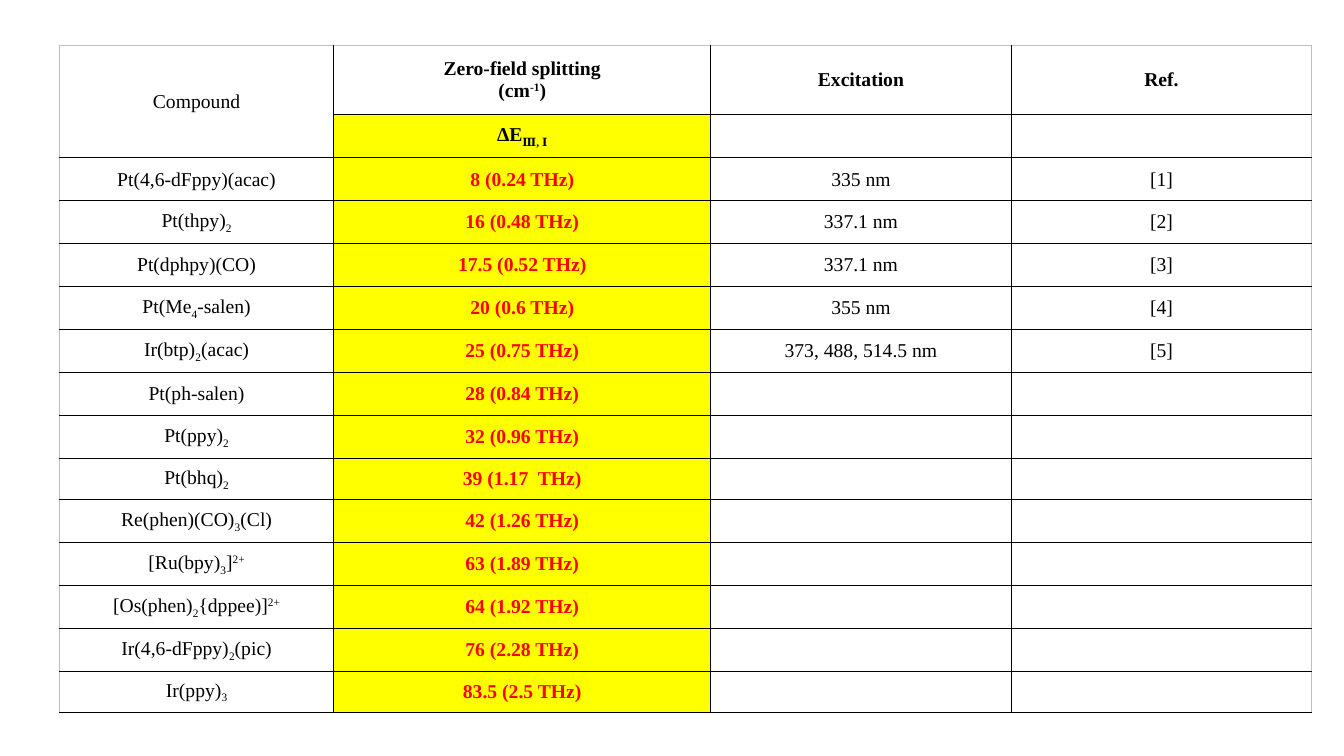
from dataclasses import dataclass

from lxml import etree
from pptx import Presentation
from pptx.dml.color import RGBColor
from pptx.enum.text import MSO_ANCHOR, PP_ALIGN
from pptx.oxml.ns import qn
from pptx.util import Inches, Pt

MIDDLE = MSO_ANCHOR.MIDDLE
CENTER = PP_ALIGN.CENTER


@dataclass(frozen=True)
class Theme:
    font: str = "Times New Roman"
    size: int = 14
    ink: str = "000000"
    value: str = "FF0000"
    highlight: str = "FFFF00"
    rule: str = "000000"
    frame: str = "BFBFBF"
    rule_width: int = 1


# In cell text "|" parts the runs; "_" opens a subscript and "^" a superscript
BASELINES = {"_": "-25000", "^": "30000"}

HEADINGS = [
    ("Compound", "Zero-field splitting\n(cm|^-1|)", "Excitation", "Ref."),
    ("", "ΔE|_Ⅲ, Ⅰ", "", ""),
]
COMPOUNDS = [
    ("Pt(4,6-dFppy)(acac)", "8 (0.24 THz)", "335 nm", "[1]"),
    ("Pt(thpy)|_2", "16 (0.48 THz)", "337.1 nm", "[2]"),
    ("Pt(dphpy)(CO)", "17.5 (0.52 THz)", "337.1 nm", "[3]"),
    ("Pt(Me|_4|-salen)", "20 (0.6 THz)", "355 nm", "[4]"),
    ("Ir(btp)|_2|(acac)", "25 (0.75 THz)", "373, 488, 514.5 nm", "[5]"),
    ("Pt(ph-salen)", "28 (0.84 THz)", "", ""),
    ("Pt(ppy)|_2", "32 (0.96 THz)", "", ""),
    ("Pt(bhq)|_2", "39 (1.17  THz)", "", ""),
    ("Re(phen)(CO)|_3|(Cl)", "42 (1.26 THz)", "", ""),
    ("[Ru(bpy)|_3|]|^2+", "63 (1.89 THz)", "", ""),
    ("[Os(phen)|_2|{dppee)]|^2+", "64 (1.92 THz)", "", ""),
    ("Ir(4,6-dFppy)|_2|(pic)", "76 (2.28 THz)", "", ""),
    ("Ir(ppy)|_3", "83.5 (2.5 THz)", "", ""),
]
SPLITTING = 1  # column of the zero-field splitting

# Table geometry in inches
LEFT, TOP, WIDTH, HEIGHT = 0.59, 0.45, 12.42, 6.61
COLUMN_WIDTHS = [2.72, 3.74, 2.98, 2.98]
SPECIAL_HEIGHTS = {0: 0.69, 9: 0.4, 14: 0.4}


class SlideBuilder:
    def __init__(self, slide, theme):
        self.slide = slide
        self.theme = theme

    def table(self, rows, column_widths, special_heights):
        grid = self.slide.shapes.add_table(
            len(rows), len(column_widths),
            Inches(LEFT), Inches(TOP), Inches(WIDTH), Inches(HEIGHT)).table
        grid.first_row = grid.horz_banding = False
        for column, width in zip(grid.columns, column_widths):
            column.width = Inches(width)
        # Rows without a height of their own share what is left
        shared = ((HEIGHT - sum(special_heights.values()))
                  / (len(rows) - len(special_heights)))
        for index, row in enumerate(grid.rows):
            row.height = Inches(special_heights.get(index, shared))
        return grid

    def borders(self, cell, colors):
        properties = cell._tc.get_or_add_tcPr()
        for side, color in colors.items():
            line = etree.SubElement(properties, qn(f"a:ln{side}"),
                                    w=str(Pt(self.theme.rule_width)))
            fill = etree.SubElement(line, qn("a:solidFill"))
            etree.SubElement(fill, qn("a:srgbClr"), val=color)

    def cell(self, cell, text, color, bold, fill):
        cell.vertical_anchor = MIDDLE
        if fill:
            cell.fill.solid()
            cell.fill.fore_color.rgb = RGBColor.from_string(fill)
        else:
            cell.fill.background()
        if text:
            self.text(cell.text_frame, text, color, bold)

    def text(self, frame, text, color, bold):
        style = {"name": self.theme.font, "size": Pt(self.theme.size),
                 "bold": bold}
        for index, line in enumerate(text.split("\n")):
            paragraph = frame.add_paragraph() if index else frame.paragraphs[0]
            paragraph.alignment = CENTER
            for piece in line.split("|"):
                baseline = BASELINES.get(piece[0])
                run = paragraph.add_run()
                run.text = piece[1:] if baseline else piece
                for attribute, value in style.items():
                    setattr(run.font, attribute, value)
                run.font.color.rgb = RGBColor.from_string(color)
                if baseline:
                    run._r.get_or_add_rPr().set("baseline", baseline)


def main():
    presentation = Presentation()
    presentation.slide_width = Inches(13.33)
    presentation.slide_height = Inches(7.5)
    theme = Theme()
    slide = presentation.slides.add_slide(presentation.slide_layouts[6])
    builder = SlideBuilder(slide, theme)

    # Table of compounds
    rows = HEADINGS + COMPOUNDS
    grid = builder.table(rows, COLUMN_WIDTHS, SPECIAL_HEIGHTS)
    last_column = len(COLUMN_WIDTHS) - 1
    for r, row in enumerate(rows):
        heading = r < len(HEADINGS)
        for c, text in enumerate(row):
            cell = grid.cell(r, c)
            splitting = c == SPLITTING
            # Grey outer frame, black rules inside and at the bottom
            builder.borders(cell, {
                "L": theme.rule if c else theme.frame,
                "R": theme.frame if c == last_column else theme.rule,
                "T": theme.rule if r else theme.frame,
                "B": theme.rule,
            })
            builder.cell(
                cell, text,
                color=theme.value if splitting and not heading else theme.ink,
                bold=splitting or (heading and c > 0),
                fill=theme.highlight if splitting and r else None)

    # The compound heading spans both heading rows
    grid.cell(0, 0).merge(grid.cell(1, 0))

    presentation.save("out.pptx")


if __name__ == "__main__":
    main()
